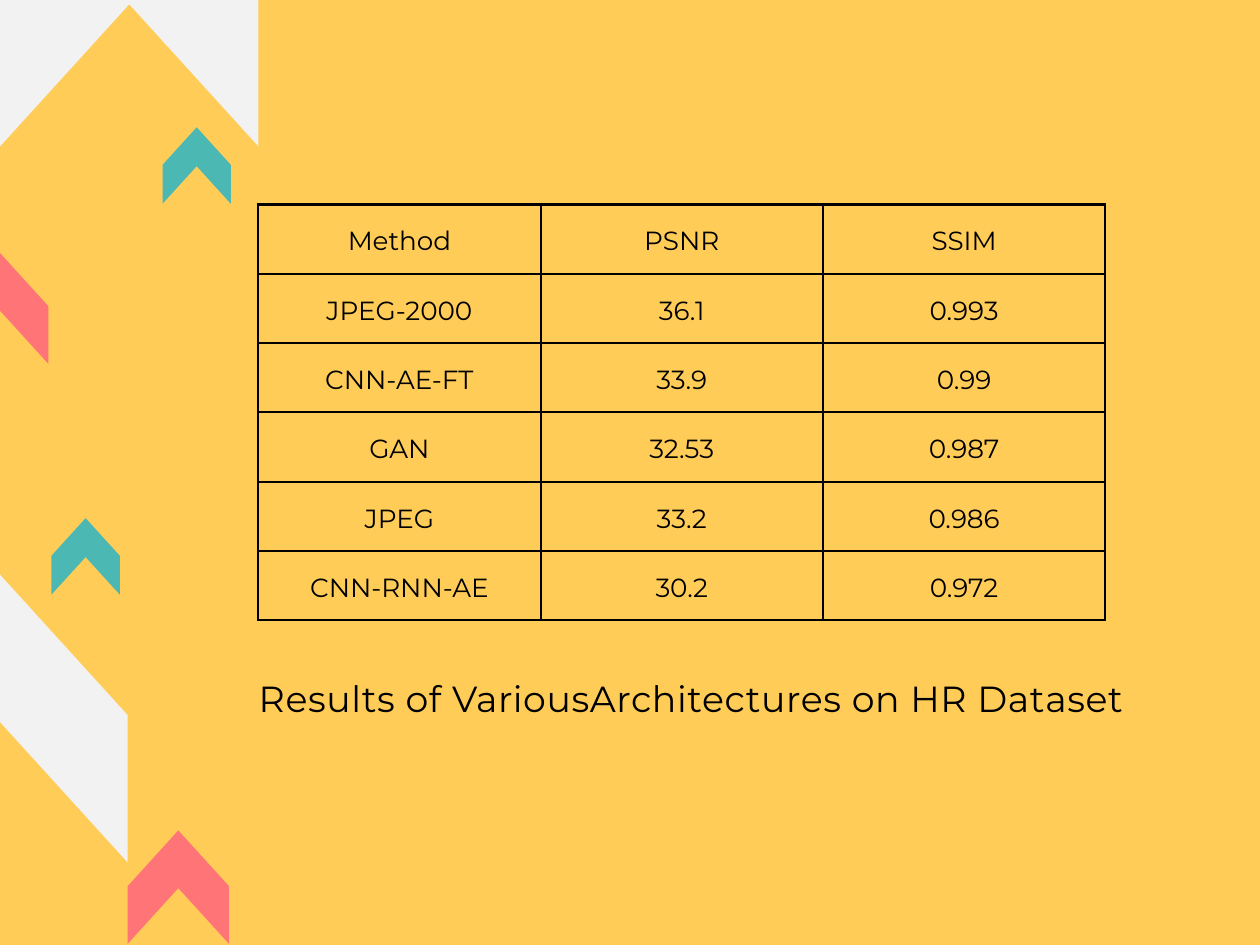
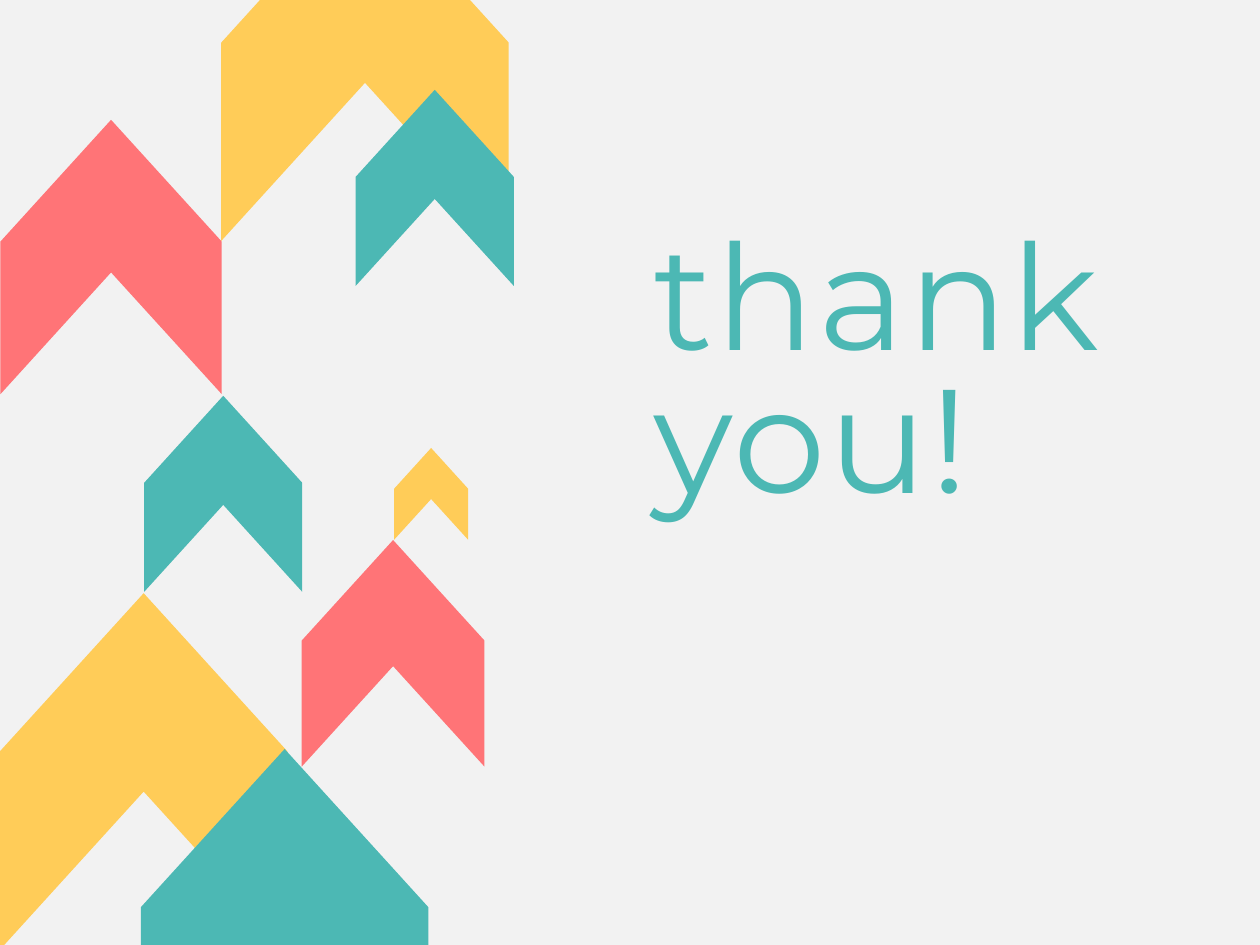
from dataclasses import dataclass
from typing import Any

from lxml.etree import SubElement
from pptx import Presentation
from pptx.dml.color import RGBColor
from pptx.enum.text import MSO_ANCHOR, MSO_AUTO_SIZE, PP_ALIGN
from pptx.oxml import parse_xml
from pptx.oxml.ns import nsdecls, qn
from pptx.slide import Slide
from pptx.util import Pt

YELLOW = RGBColor(0xFF, 0xCC, 0x58)
TEAL = RGBColor(0x4C, 0xB8, 0xB4)
PINK = RGBColor(0xFF, 0x74, 0x77)
PALE = RGBColor(0xF2, 0xF2, 0xF2)
BLACK = RGBColor(0, 0, 0)
FONT = "Montserrat"
SLOPE = 0.55
SHORT, LONG = 1.12, 1.24

NO_INSET = dict.fromkeys(
    ("margin_left", "margin_right", "margin_top", "margin_bottom"), 0)
FRAME = {**NO_INSET, "word_wrap": True, "vertical_anchor": MSO_ANCHOR.TOP,
         "auto_size": MSO_AUTO_SIZE.SHAPE_TO_FIT_TEXT}
CELL = {**dict.fromkeys(NO_INSET, Pt(7.5)), "vertical_anchor": MSO_ANCHOR.MIDDLE}

RESULTS = (
    ("Method", "PSNR", "SSIM"),
    ("JPEG-2000", "36.1", "0.993"),
    ("CNN-AE-FT", "33.9", "0.99"),
    ("GAN", "32.53", "0.987"),
    ("JPEG", "33.2", "0.986"),
    ("CNN-RNN-AE", "30.2", "0.972"),
)


@dataclass(frozen=True)
class Chevron:
    """An upward chevron given by its centre, height and colour."""
    x: float
    y: float
    tall: float
    color: RGBColor


@dataclass(frozen=True)
class Title:
    """A title with its box, type size, leading and tracking."""
    text: str
    left: float
    top: float
    width: float
    height: float
    size: float
    lead: float
    track: float
    color: RGBColor


RESULT_ART = (
    Chevron(-1, 437.4, 176.4, PALE),
    Chevron(108.7, 540.7, 69.1, PINK),
    Chevron(52.2, 339.1, 46.6, TEAL),
    Chevron(78.8, 1, 176.4, PALE),
    Chevron(119.9, 100.9, 46.6, TEAL),
    Chevron(-1.4, 187.2, 69.1, PINK),
)
THANKS_ART = (
    Chevron(87.6, 470.2, 217.3, YELLOW),
    Chevron(173.5, 565.2, 217.3, TEAL),
    Chevron(239.6, 398.2, 138.1, PINK),
    Chevron(262.8, 301, 55.9, YELLOW),
    Chevron(136.1, 301, 119.5, TEAL),
    Chevron(67.7, 156.6, 167.2, PINK),
    Chevron(222.5, 38.2, 217.3, YELLOW),
    Chevron(265, 114.5, 119.5, TEAL),
)
CAPTION = Title("Results of VariousArchitectures on HR Dataset",
                157.7, 405.4, 573, 31.7, 22.1, 33.2, 0.4, BLACK)
THANKS = Title("thank you!", 398.2, 144.7, 315.4, 149.8, 89.8, 87.1, 1.8, TEAL)


def apply(target: Any, values: dict[str, Any]) -> None:
    """Set each named attribute on the target."""
    for name, value in values.items():
        setattr(target, name, value)


def write(para: Any, text: str, size: float, lead: float, color: RGBColor,
          align: PP_ALIGN) -> Any:
    """Fill a paragraph with one styled run and return the run."""
    run = para.add_run()
    run.text = text
    apply(para, {"alignment": align, "line_spacing": Pt(lead)})
    apply(run.font, {"name": FONT, "size": Pt(size)})
    run.font.color.rgb = color
    return run


def draw_title(slide: Slide, title: Title) -> None:
    """Place and format the title placeholder."""
    shape = slide.shapes.title
    apply(shape, {name: Pt(getattr(title, name))
                  for name in ("left", "top", "width", "height")})
    apply(shape.text_frame, FRAME)
    run = write(shape.text_frame.paragraphs[0], title.text, title.size,
                title.lead, title.color, PP_ALIGN.LEFT)
    run.font._element.set("spc", str(round(title.track * 100)))


def draw_chevron(slide: Slide, item: Chevron, ratio: float) -> None:
    """Draw a chevron pointing right, then turn it upward."""
    half, wide = item.tall / 2, item.tall / ratio
    depth = wide * SLOPE
    left, right = item.x - half, item.x + half
    top, low = item.y - wide / 2, item.y + wide / 2
    points = [(Pt(x), Pt(y)) for x, y in (
        (right - depth, top), (left, top), (left + depth, item.y),
        (left, low), (right - depth, low), (right, item.y))]
    pen = slide.shapes.build_freeform(*points[0], scale=1.0)
    pen.add_line_segments(points[1:], close=True)
    shape = pen.convert_to_shape()
    shape.rotation = 270
    shape.shadow.inherit = False
    shape.fill.solid()
    shape.fill.fore_color.rgb = item.color
    shape.line.fill.background()


def draw_border(cell: Any) -> None:
    """Give a clear cell a thin black line on each side."""
    cell.fill.background()
    props = cell._tc.get_or_add_tcPr()
    for index, side in enumerate("LRTB"):
        line = parse_xml(f'<a:ln{side} {nsdecls("a")} w="{Pt(1.5)}"/>')
        fill = SubElement(line, qn("a:solidFill"))
        SubElement(fill, qn("a:srgbClr")).set("val", str(BLACK))
        props.insert(index, line)


def draw_table(slide: Slide) -> None:
    """Draw the grid of results."""
    rows, cols = len(RESULTS), len(RESULTS[0])
    table = slide.shapes.add_table(
        rows, cols, Pt(157.4), Pt(124.6), Pt(516.3), Pt(253.5)).table
    apply(table, {"first_row": False, "horz_banding": False})
    for row, values in enumerate(RESULTS):
        for col, text in enumerate(values):
            cell = table.cell(row, col)
            apply(cell, CELL)
            write(cell.text_frame.paragraphs[0], text, 16, 22.4, BLACK,
                  PP_ALIGN.CENTER)
            draw_border(cell)


def add_slide(deck: Any, back: RGBColor, title: Title,
              art: tuple[Chevron, ...], ratio: float) -> Slide:
    """Add a slide with its background, title and chevrons."""
    slide = deck.slides.add_slide(deck.slide_layouts[5])
    slide.background.fill.solid()
    slide.background.fill.fore_color.rgb = back
    draw_title(slide, title)
    for item in art:
        draw_chevron(slide, item, ratio)
    return slide


def main() -> None:
    """Build and save the deck."""
    deck = Presentation()
    apply(deck, {"slide_width": Pt(768), "slide_height": Pt(576)})
    draw_table(add_slide(deck, YELLOW, CAPTION, RESULT_ART, SHORT))
    add_slide(deck, PALE, THANKS, THANKS_ART, LONG)
    deck.save("out.pptx")


if __name__ == "__main__":
    main()
